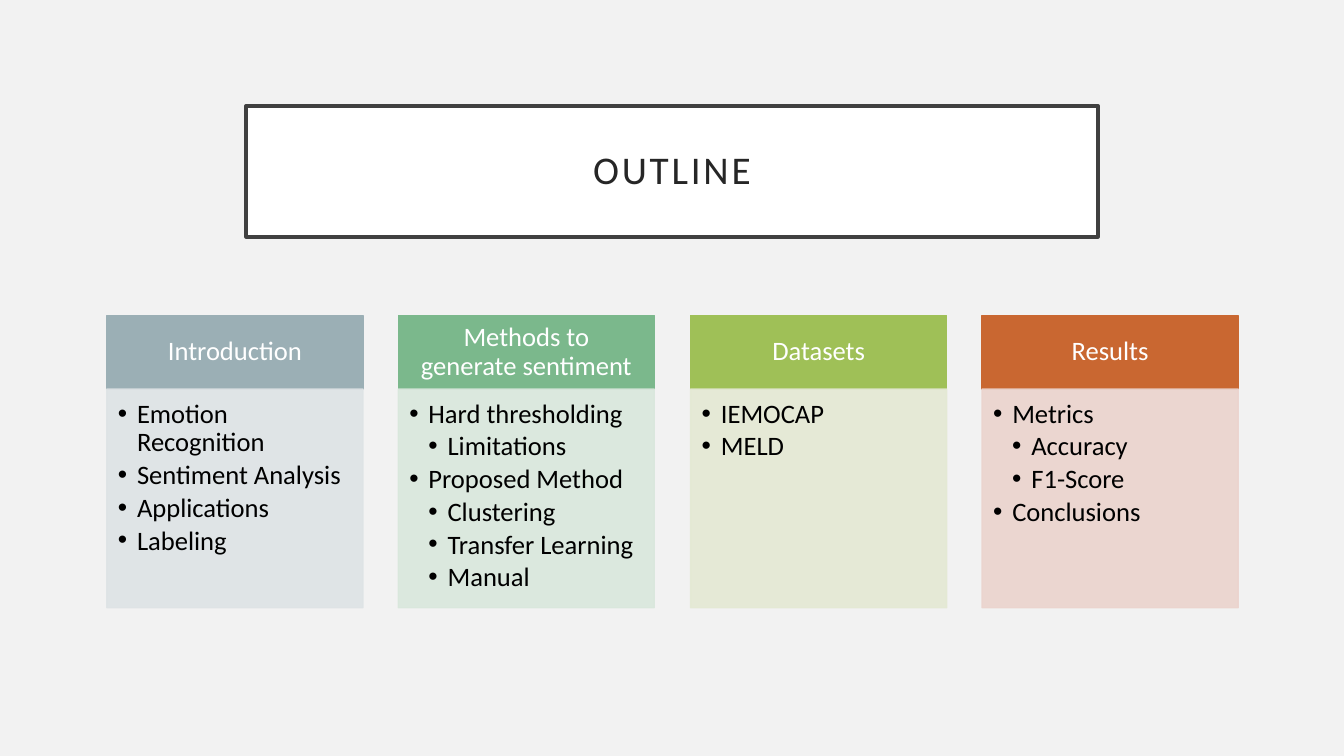
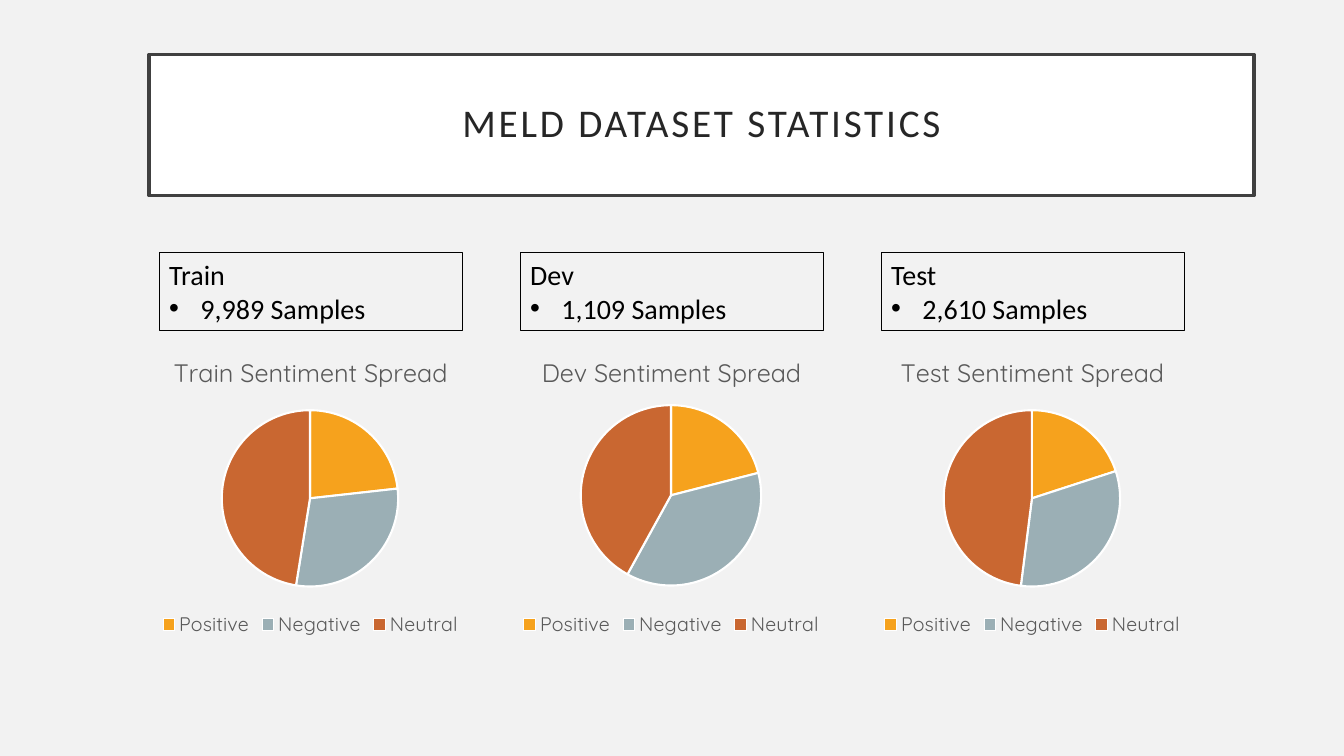
from dataclasses import dataclass

from pptx import Presentation
from pptx.chart.data import CategoryChartData
from pptx.dml.color import RGBColor
from pptx.enum.chart import XL_CHART_TYPE, XL_LEGEND_POSITION
from pptx.enum.shapes import MSO_SHAPE
from pptx.enum.text import MSO_ANCHOR, MSO_AUTO_SIZE, PP_ALIGN
from pptx.oxml import parse_xml
from pptx.oxml.ns import nsdecls
from pptx.oxml.xmlchemy import OxmlElement
from pptx.util import Pt

PIE = XL_CHART_TYPE.PIE
LEGEND_BOTTOM = XL_LEGEND_POSITION.BOTTOM
RECTANGLE = MSO_SHAPE.RECTANGLE
TOP, MIDDLE = MSO_ANCHOR.TOP, MSO_ANCHOR.MIDDLE
NO_AUTOFIT = MSO_AUTO_SIZE.NONE
LEFT, CENTER = PP_ALIGN.LEFT, PP_ALIGN.CENTER

EMU_PER_PX = 9144  # 100 px to the inch
TITLE_ONLY = 5
TEXT_FONT, CHART_FONT = "Calibri", "Quicksand"

COLORS = {
    "page": "F2F2F2",
    "white": "FFFFFF",
    "black": "000000",
    "frame": "404040",
    "title": "262626",
    "chart_text": "595959",
    "slate": "9BAFB5",
    "slate_pale": "DEE3E5",
    "green": "7BB88C",
    "green_pale": "D9E7DC",
    "lime": "9FC057",
    "lime_pale": "E4E9D3",
    "rust": "C96731",
    "rust_pale": "EBD3CD",
    "amber": "F6A21D",
}


@dataclass(frozen=True)
class Box:
    left: int
    top: int
    width: int
    height: int


@dataclass(frozen=True)
class Column:
    heading: str
    color: str
    items: tuple[tuple[int, str], ...]  # (level, text)


@dataclass(frozen=True)
class Split:
    name: str
    samples: str
    shares: tuple[int, int, int]
    pie_top: int
    pie_size: int


COLUMNS = (
    Column("Introduction", "slate", (
        (1, "Emotion Recognition"), (1, "Sentiment Analysis"),
        (1, "Applications"), (1, "Labeling"))),
    Column("Methods to generate sentiment", "green", (
        (1, "Hard thresholding"), (2, "Limitations"),
        (1, "Proposed Method"), (2, "Clustering"),
        (2, "Transfer Learning"), (2, "Manual"))),
    Column("Datasets", "lime", ((1, "IEMOCAP"), (1, "MELD"))),
    Column("Results", "rust", (
        (1, "Metrics"), (2, "Accuracy"), (2, "F1-Score"),
        (1, "Conclusions"))),
)
SPLITS = (
    Split("Train", "9,989 Samples", (23, 29, 47), 71, 175),
    Split("Dev", "1,109 Samples", (21, 37, 42), 66, 179),
    Split("Test", "2,610 Samples", (20, 32, 48), 71, 175),
)
SENTIMENTS = {"Positive": "amber", "Negative": "slate", "Neutral": "rust"}


def px(length: int) -> int:
    return length * EMU_PER_PX


def rgb(name: str) -> RGBColor:
    return RGBColor.from_string(COLORS[name])


def emu(box: Box) -> tuple[int, int, int, int]:
    return px(box.left), px(box.top), px(box.width), px(box.height)


def spread(first: int, last: int, count: int) -> list[int]:
    """Return evenly spaced left edges from first to last."""
    return [first + round(i * (last - first) / (count - 1))
            for i in range(count)]


def set_font(font, size: float, color: str, name: str = TEXT_FONT) -> None:
    font.size = Pt(size)
    font.name = name
    font.color.rgb = rgb(color)


def set_frame(shape, anchor, insets: tuple[int, int, int, int]) -> None:
    frame = shape.text_frame
    frame.word_wrap = True
    frame.auto_size = NO_AUTOFIT
    frame.vertical_anchor = anchor
    (frame.margin_left, frame.margin_top,
     frame.margin_right, frame.margin_bottom) = map(px, insets)


def add_text(para, text: str, size: float, color: str, align=LEFT):
    para.alignment = align
    span = para.add_run()
    span.text = text
    set_font(span.font, size, color)
    return span


def add_bullet(para, margin: int, hang: int) -> None:
    properties = para._p.get_or_add_pPr()
    properties.set("marL", str(px(margin)))
    properties.set("indent", str(-px(hang)))
    font = OxmlElement("a:buFont")
    font.set("typeface", "Arial")
    mark = OxmlElement("a:buChar")
    mark.set("char", "•")
    properties.extend((font, mark))


def next_para(frame, index: int):
    """Return the paragraph a frame starts with, then new ones."""
    return frame.paragraphs[0] if index == 0 else frame.add_paragraph()


def set_opacity(color_format, percent: int) -> None:
    for color in color_format._xPr.iter("{*}srgbClr"):
        alpha = OxmlElement("a:alpha")
        alpha.set("val", str(percent * 1000))
        color.append(alpha)


def add_box(page, box: Box, fill: str | None, line: str, width: float):
    shape = page.shapes.add_shape(RECTANGLE, *emu(box))
    shape.shadow.inherit = False
    if fill:
        shape.fill.solid()
        shape.fill.fore_color.rgb = rgb(fill)
    else:
        shape.fill.background()
    shape.line.color.rgb = rgb(line)
    shape.line.width = Pt(width)
    return shape


def add_page(deck, text: str, box: Box):
    """Add a slide with the framed title that all slides share."""
    page = deck.slides.add_slide(deck.slide_layouts[TITLE_ONLY])
    title = page.shapes.title
    title.left, title.top, title.width, title.height = emu(box)
    title.fill.solid()
    title.fill.fore_color.rgb = rgb("white")
    title.line.color.rgb = rgb("frame")
    title.line.width = Pt(2.5)
    set_frame(title, MIDDLE, (20, 20, 20, 20))
    para = title.text_frame.paragraphs[0]
    para.line_spacing = 0.9
    span = add_text(para, text, 28, "title", CENTER)
    span._r.get_or_add_rPr().set("spc", "200")
    return page


def add_column(page, column: Column, left: int) -> None:
    head = add_box(page, Box(left, 313, 254, 73),
                   column.color, column.color, 1)
    set_frame(head, MIDDLE, (15, 8, 15, 8))
    para = head.text_frame.paragraphs[0]
    para.line_spacing = 0.9
    add_text(para, column.heading, 19, "white", CENTER)

    pale = f"{column.color}_pale"
    body = add_box(page, Box(left, 386, 254, 217), pale, pale, 1)
    for solid in body._element.spPr.iter("{*}srgbClr"):
        alpha = OxmlElement("a:alpha")
        alpha.set("val", "90000")
        solid.append(alpha)
    set_frame(body, TOP, (11, 11, 15, 17))
    for index, (level, text) in enumerate(column.items):
        para = next_para(body.text_frame, index)
        para.line_spacing = 0.9
        para.space_after = Pt(2.85)
        add_text(para, text, 19, "black")
        add_bullet(para, 19 * level, 19)


def add_sample_box(page, split: Split, left: int) -> None:
    box = add_box(page, Box(left, 251, 301, 77), None, "black", 0.75)
    set_frame(box, TOP, (10, 5, 10, 5))
    for index, text in enumerate((split.name, split.samples)):
        para = next_para(box.text_frame, index)
        add_text(para, text, 20, "black")
    add_bullet(para, 31, 31)


def place_pie(chart, area: Box, pie: Box) -> None:
    """Fix the plot area, given in px inside the chart area."""
    shares = {"x": pie.left / area.width, "y": pie.top / area.height,
              "w": pie.width / area.width, "h": pie.height / area.height}
    modes = "".join(f'<c:{axis}Mode val="edge"/>' for axis in "xy")
    values = "".join(f'<c:{key} val="{value:.4f}"/>'
                     for key, value in shares.items())
    plot_area = chart.element.xpath("c:chart/c:plotArea")[0]
    for old in plot_area.xpath("c:layout"):
        plot_area.remove(old)
    plot_area.insert(0, parse_xml(
        f'<c:layout {nsdecls("c")}><c:manualLayout>'
        f'<c:layoutTarget val="inner"/>{modes}{values}'
        '</c:manualLayout></c:layout>'))


def add_pie(page, split: Split, left: int) -> None:
    data = CategoryChartData()
    data.categories = list(SENTIMENTS)
    data.add_series("Series 1", split.shares)
    area = Box(left, 336, 500, 300)
    chart = page.shapes.add_chart(PIE, *emu(area), data).chart
    set_font(chart.font, 10, "black")

    chart.has_title = True
    span = chart.chart_title.text_frame.paragraphs[0].add_run()
    span.text = f"{split.name} Sentiment Spread"
    set_font(span.font, 18, "chart_text", CHART_FONT)
    span.font.bold = False
    chart.chart_title.include_in_layout = False

    chart.has_legend = True
    chart.legend.position = LEGEND_BOTTOM
    chart.legend.include_in_layout = False
    set_font(chart.legend.font, 14, "chart_text", CHART_FONT)

    plot = chart.plots[0]
    plot.vary_by_categories = True
    for index, color in enumerate(SENTIMENTS.values()):
        style = plot.series[0].points[index].format
        style.fill.solid()
        style.fill.fore_color.rgb = rgb(color)
        style.line.color.rgb = rgb("white")
        style.line.width = Pt(1.5)
    size = split.pie_size
    place_pie(chart, area,
              Box((area.width - size) // 2, split.pie_top, size, size))


def main() -> None:
    deck = Presentation()
    deck.slide_width, deck.slide_height = px(1333), px(750)
    background = deck.slide_master.background.fill
    background.solid()
    background.fore_color.rgb = rgb("page")

    outline = add_page(deck, "OUTLINE", Box(244, 105, 845, 130))
    for column, left in zip(COLUMNS, spread(106, 974, len(COLUMNS))):
        add_column(outline, column, left)

    statistics = add_page(deck, "MELD DATASET STATISTICS",
                          Box(148, 54, 1096, 140))
    for split, left in zip(SPLITS, spread(158, 874, len(SPLITS))):
        add_sample_box(statistics, split, left)
        add_pie(statistics, split, left - 100)

    deck.save("out.pptx")


if __name__ == "__main__":
    main()
